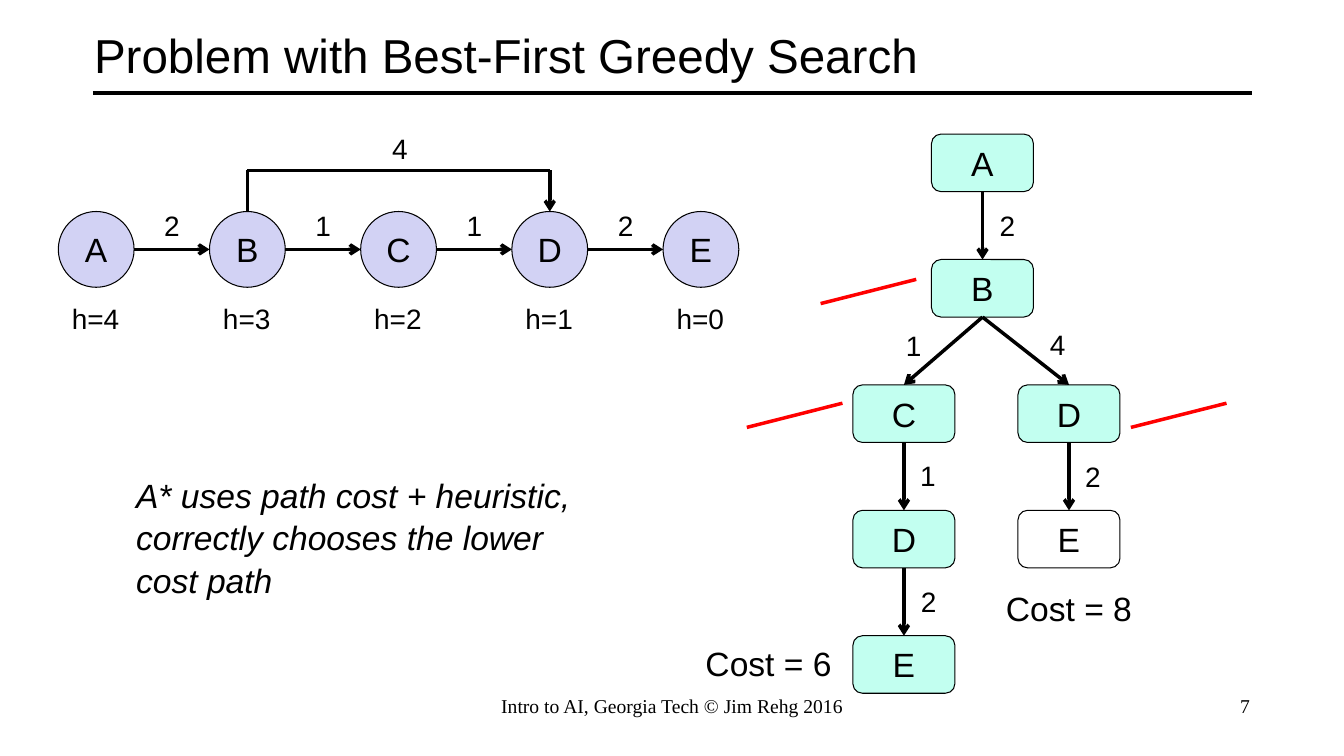
from dataclasses import dataclass

from lxml.etree import SubElement
from pptx import Presentation
from pptx.dml.color import RGBColor
from pptx.enum.shapes import MSO_CONNECTOR, MSO_SHAPE
from pptx.enum.text import MSO_ANCHOR, PP_ALIGN
from pptx.oxml.ns import qn
from pptx.slide import Slide
from pptx.text.text import TextFrame
from pptx.util import Cm, Pt

COLORS = {
    "ink": "000000",
    "state": "D2D2F4",
    "expanded": "C2FFF0",
    "unexpanded": "FFFFFF",
    "mark": "FF0000",
}
STATE_LEFT, STATE_TOP, STATE_SIZE, STATE_STEP = 1.47, 5.33, 1.91, 3.81
BOX_WIDTH, BOX_HEIGHT, ROW_TOP, ROW_STEP = 2.57, 1.45, 3.38, 3.16
ROOT_X, LEFT_X, RIGHT_X = 24.76, 22.78, 26.94
DETOUR_Y = 4.29
MARK_WIDTH, MARK_RISE = 2.41, 0.61


@dataclass(frozen=True)
class State:
    name: str
    heuristic: int


@dataclass(frozen=True)
class TreeNode:
    name: str
    center: float
    row: int
    fill: str = "expanded"

    @property
    def top(self) -> float:
        return ROW_TOP + self.row * ROW_STEP

    @property
    def bottom(self) -> float:
        return self.top + BOX_HEIGHT


@dataclass(frozen=True)
class Label:
    text: str
    left: float
    top: float


STATES = [State("A", 4), State("B", 3), State("C", 2), State("D", 1), State("E", 0)]
STEP_COSTS = [2, 1, 1, 2]

TREE = [
    TreeNode("A", ROOT_X, 0),
    TreeNode("B", ROOT_X, 1),
    TreeNode("C", LEFT_X, 2),
    TreeNode("D", RIGHT_X, 2),
    TreeNode("D", LEFT_X, 3),
    TreeNode("E", RIGHT_X, 3, "unexpanded"),
    TreeNode("E", LEFT_X, 4),
]
TREE_EDGES = [(0, 1), (1, 2), (1, 3), (2, 4), (3, 5), (4, 6)]
TREE_COSTS = [
    Label("2", 24.94, 5.13),
    Label("1", 22.58, 8.15),
    Label("4", 26.21, 8.13),
    Label("1", 22.94, 11.43),
    Label("2", 27.1, 11.46),
    Label("2", 22.96, 14.6),
]
TOTAL_COSTS = [Label("Cost = 8", 25.1, 14.68), Label("Cost = 6", 17.53, 16.08)]
MARKS = [(20.68, 7.65), (18.82, 10.77), (28.5, 10.77)]


def write_text(
    frame: TextFrame,
    text: str,
    *,
    size: float,
    font: str = "Arial",
    italic: bool = False,
    align: PP_ALIGN = PP_ALIGN.LEFT,
    anchor: MSO_ANCHOR = MSO_ANCHOR.TOP,
    wrap: bool = False,
    spacing: float = 1.0,
) -> None:
    frame.text = text
    frame.word_wrap = wrap
    frame.vertical_anchor = anchor
    for paragraph in frame.paragraphs:
        paragraph.alignment = align
        paragraph.line_spacing = spacing
        for run in paragraph.runs:
            run.font.name = font
            run.font.size = Pt(size)
            run.font.italic = italic
            run.font.color.rgb = RGBColor.from_string(COLORS["ink"])


def add_text(slide: Slide, text: str, left: float, top: float,
             width: float, height: float, **text_format) -> None:
    box = slide.shapes.add_textbox(Cm(left), Cm(top), Cm(width), Cm(height))
    write_text(box.text_frame, text, **text_format)


def add_node(slide: Slide, kind: MSO_SHAPE, name: str, left: float, top: float,
             width: float, height: float, fill: str) -> None:
    shape = slide.shapes.add_shape(kind, Cm(left), Cm(top), Cm(width), Cm(height))
    shape.shadow.inherit = False
    shape.fill.solid()
    shape.fill.fore_color.rgb = RGBColor.from_string(COLORS[fill])
    shape.line.color.rgb = RGBColor.from_string(COLORS["ink"])
    shape.line.width = Pt(0.75)
    write_text(shape.text_frame, name, size=24, align=PP_ALIGN.CENTER,
               anchor=MSO_ANCHOR.MIDDLE)


def add_line(slide: Slide, start: tuple[float, float], end: tuple[float, float],
             *, color: str = "ink", weight: float = 2.5, arrow: bool = False) -> None:
    connector = slide.shapes.add_connector(
        MSO_CONNECTOR.STRAIGHT, Cm(start[0]), Cm(start[1]), Cm(end[0]), Cm(end[1]))
    connector.line.color.rgb = RGBColor.from_string(COLORS[color])
    connector.line.width = Pt(weight)
    if arrow:
        SubElement(connector.line._get_or_add_ln(), qn("a:tailEnd"), type="arrow")
    SubElement(connector._element.spPr, qn("a:effectLst"))


def draw_frame(slide: Slide) -> None:
    add_line(slide, (2.34, 2.34), (31.55, 2.34), weight=3)
    add_text(slide, "Problem with Best-First Greedy Search", 2.12, 0.2, 29.64, 2.34,
             size=34, anchor=MSO_ANCHOR.MIDDLE, wrap=True)
    footer = {"size": 14, "font": "Times New Roman", "wrap": True}
    add_text(slide, "Intro to AI, Georgia Tech © Jim Rehg 2016", 11.58, 17.35, 10.72, 1.27,
             align=PP_ALIGN.CENTER, **footer)
    add_text(slide, "7", 24.28, 17.35, 7.47, 1.27, align=PP_ALIGN.RIGHT, **footer)


def draw_state_graph(slide: Slide) -> None:
    middle = STATE_TOP + STATE_SIZE / 2
    for index, state in enumerate(STATES):
        offset = index * STATE_STEP
        add_node(slide, MSO_SHAPE.OVAL, state.name, STATE_LEFT + offset, STATE_TOP,
                 STATE_SIZE, STATE_SIZE, "state")
        add_text(slide, f"h={state.heuristic}", 1.56 + offset, 7.47, 1.73, 1.12, size=20)
    for index, cost in enumerate(STEP_COSTS):
        offset = index * STATE_STEP
        add_line(slide, (STATE_LEFT + STATE_SIZE + offset, middle),
                 (STATE_LEFT + STATE_STEP + offset, middle), arrow=True)
        add_text(slide, str(cost), 3.89 + offset, 5.13, 0.91, 1.12, size=20)

    from_x = STATE_LEFT + STATE_SIZE / 2 + STATE_STEP
    to_x = from_x + 2 * STATE_STEP
    add_line(slide, (from_x, STATE_TOP), (from_x, DETOUR_Y))
    add_line(slide, (from_x, DETOUR_Y), (to_x, DETOUR_Y))
    add_line(slide, (to_x, DETOUR_Y), (to_x, STATE_TOP), arrow=True)
    add_text(slide, "4", 9.63, 3.18, 0.91, 1.12, size=20)


def draw_search_tree(slide: Slide) -> None:
    for node in TREE:
        add_node(slide, MSO_SHAPE.ROUNDED_RECTANGLE, node.name,
                 node.center - BOX_WIDTH / 2, node.top, BOX_WIDTH, BOX_HEIGHT, node.fill)
    for parent_index, child_index in TREE_EDGES:
        parent, child = TREE[parent_index], TREE[child_index]
        add_line(slide, (parent.center, parent.bottom), (child.center, child.top), arrow=True)
    for cost in TREE_COSTS:
        add_text(slide, cost.text, cost.left, cost.top, 0.91, 1.12, size=20)
    for total in TOTAL_COSTS:
        add_text(slide, total.text, total.left, total.top, 3.71, 1.27, size=24)
    for left, bottom in MARKS:
        add_line(slide, (left + MARK_WIDTH, bottom - MARK_RISE), (left, bottom), color="mark")


def main() -> None:
    presentation = Presentation()
    presentation.slide_width, presentation.slide_height = Cm(33.87), Cm(19.05)
    slide = presentation.slides.add_slide(presentation.slide_layouts[6])
    draw_frame(slide)
    draw_state_graph(slide)
    draw_search_tree(slide)
    add_text(slide, "A* uses path cost + heuristic,\vcorrectly chooses the lower\ncost path",
             3.18, 11.79, 11.56, 3.33, size=24, italic=True, spacing=1.05)
    presentation.save("out.pptx")


if __name__ == "__main__":
    main()
